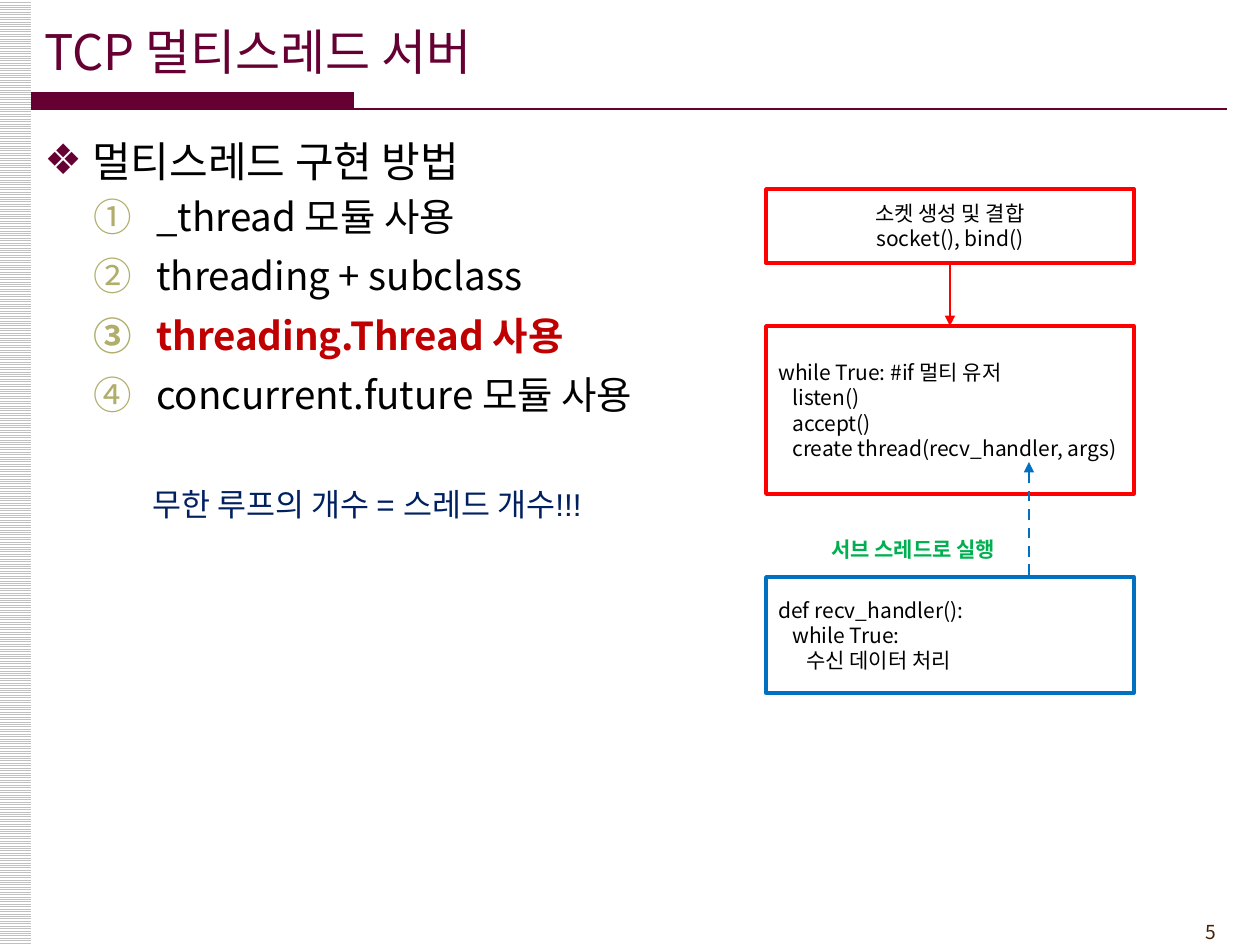
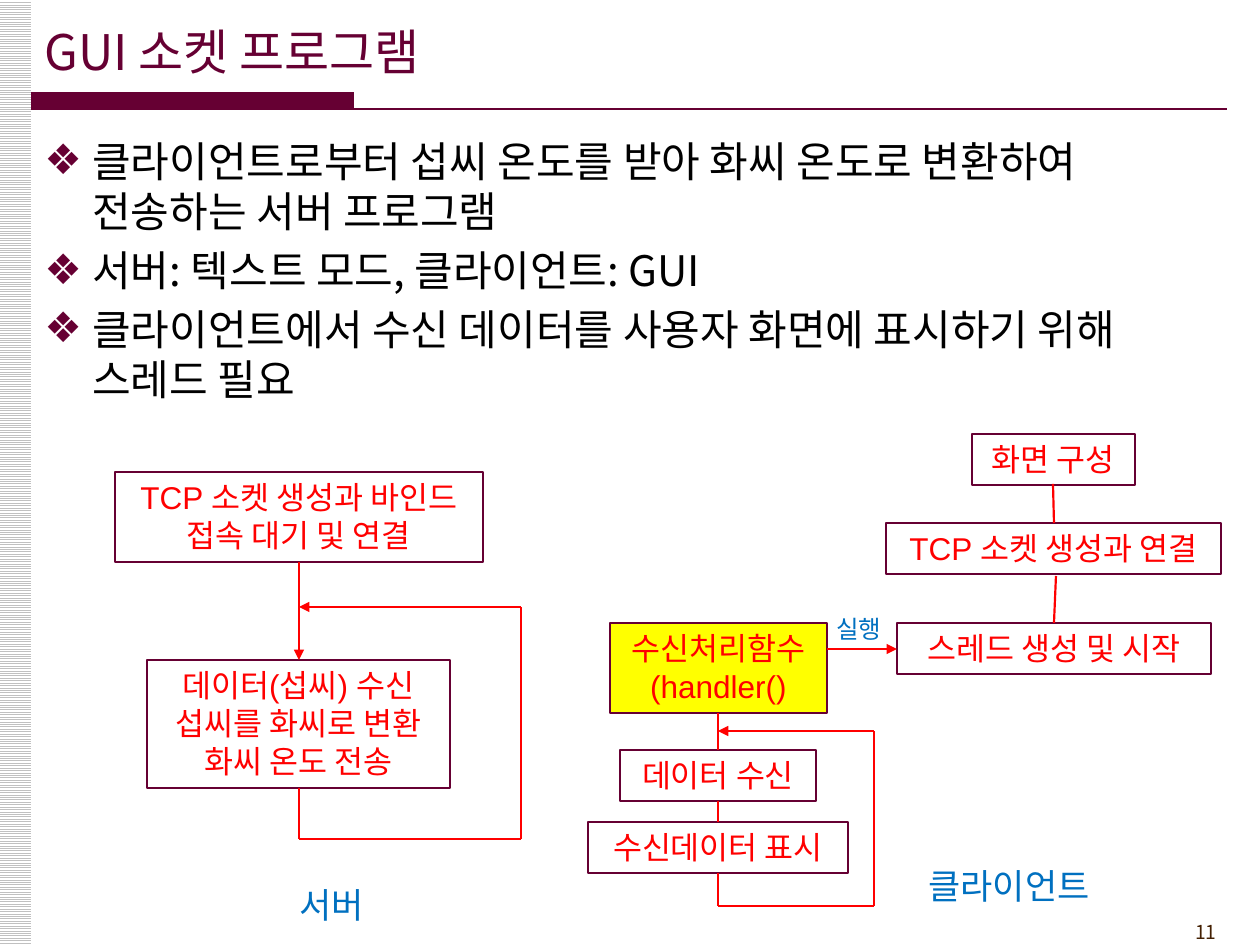
from lxml.etree import SubElement
from pptx import Presentation
from pptx.dml.color import RGBColor
from pptx.enum.dml import MSO_LINE as Dash, MSO_PATTERN as Pattern
from pptx.enum.shapes import MSO_CONNECTOR as Link, MSO_SHAPE as Shape
from pptx.enum.text import MSO_ANCHOR as Anchor, PP_ALIGN as Align
from pptx.oxml.ns import qn
from pptx.util import Emu, Pt

SCALE = 914400 / 126
WINE = RGBColor(0x66, 0x00, 0x33)
OLIVE = RGBColor(0xB1, 0xAE, 0x6B)
BROWN = RGBColor(0x45, 0x21, 0x03)
SILVER = RGBColor(0xC0, 0xC0, 0xC0)
WHITE = RGBColor(0xFF, 0xFF, 0xFF)
BLACK = RGBColor(0x00, 0x00, 0x00)
RED = RGBColor(0xFF, 0x00, 0x00)
CRIMSON = RGBColor(0xC0, 0x00, 0x00)
BLUE = RGBColor(0x00, 0x70, 0xC0)
NAVY = RGBColor(0x00, 0x20, 0x60)
GREEN = RGBColor(0x00, 0xB0, 0x50)
YELLOW = RGBColor(0xFF, 0xFF, 0x00)
NOTO, ARIAL = "Noto Sans CJK KR", "Arial"


def px(size):
    """Turn pixels into EMU."""
    return Emu(round(size * SCALE))


def write(para, text, size, color, font=NOTO, bold=False):
    """Add one run to a paragraph."""
    run = para.add_run()
    run.text = text
    run.font.size = Pt(size)
    run.font.bold = bold
    run.font.name = font
    run.font.color.rgb = color
    SubElement(run._r.get_or_add_rPr(), qn("a:ea"), typeface=NOTO)


def indent(para, left, first=0):
    """Set the left margin and first-line offset of a paragraph."""
    props = para._p.get_or_add_pPr()
    props.set("marL", str(px(left)))
    props.set("indent", str(px(first)))
    return props


def paras(frame, count):
    """Return the given number of paragraphs of a text frame."""
    return [frame.paragraphs[0]] + [frame.add_paragraph() for _ in range(count - 1)]


def label(slide, area, text, size, color, font=ARIAL, bold=False,
          align=Align.LEFT, anchor=Anchor.TOP, pitch=0.8):
    """Add one line of free text."""
    frame = slide.shapes.add_textbox(*map(px, area)).text_frame
    frame.word_wrap = True
    frame.vertical_anchor = anchor
    para = frame.paragraphs[0]
    para.alignment = align
    para.line_spacing = pitch
    write(para, text, size, color, font, bold)


def rect(slide, area):
    """Add a plain rectangle without a shadow."""
    shape = slide.shapes.add_shape(Shape.RECTANGLE, *map(px, area))
    shape.shadow.inherit = False
    shape.fill.background()
    shape.line.fill.background()
    return shape


def box(slide, area, lines, edge=WINE, width=0.75, size=18, color=RED,
        font=ARIAL, fill=None, align=Align.CENTER, anchor=Anchor.TOP, step=0):
    """Add a framed box, each line a step further in when a step is given."""
    shape = rect(slide, area)
    shape.line.color.rgb = edge
    shape.line.width = Pt(width)
    if fill is not None:
        shape.fill.solid()
        shape.fill.fore_color.rgb = fill
    frame = shape.text_frame
    frame.word_wrap = True
    frame.vertical_anchor = anchor
    for para, (depth, text) in zip(paras(frame, len(lines)), lines):
        para.alignment = align
        indent(para, depth * step)
        write(para, text, size, color, font)


def code(slide, area, lines, edge, align=Align.LEFT):
    """Add a thick-framed box of small program text."""
    box(slide, area, lines, edge, 2, 12, BLACK, NOTO, None, align, Anchor.MIDDLE, 14)


def line(slide, start, end, color=RED, width=1.5, arrow=False, dash=False):
    """Add a straight line, with an arrowhead at its end if asked."""
    link = slide.shapes.add_connector(Link.STRAIGHT, *map(px, start + end))
    link.line.color.rgb = color
    link.line.width = Pt(width)
    if dash:
        link.line.dash_style = Dash.DASH
    if arrow:
        SubElement(link.line._get_or_add_ln(), qn("a:tailEnd"), type="triangle")
    SubElement(link._element.spPr, qn("a:effectLst"))


def trace(slide, points, width):
    """Join points by lines, with an arrowhead on the last one."""
    last = len(points) - 2
    for place, (start, end) in enumerate(zip(points, points[1:])):
        line(slide, start, end, width=width, arrow=place == last)


def bullet(para, text, sub=False, color=BLACK, bold=False):
    """Fill a paragraph as a main bullet or a numbered sub-item."""
    size = 22 if sub else 24
    para.space_before = Pt(size * 0.2)
    para.space_after = Pt(3 if sub else 0)
    props = indent(para, *((112, -63) if sub else (48, -48)))
    tint = SubElement(props, qn("a:buClr"))
    SubElement(tint, qn("a:srgbClr"), val=str(OLIVE if sub else WINE))
    if sub:
        SubElement(props, qn("a:buFont"), typeface=NOTO)
        SubElement(props, qn("a:buAutoNum"), type="circleNumDbPlain")
    else:
        SubElement(props, qn("a:buFont"), typeface=ARIAL)
        SubElement(props, qn("a:buChar"), char="❖")
    write(para, text, size, color, bold=bold)


def body(slide, items):
    """Add the main list."""
    frame = slide.shapes.add_textbox(*map(px, (32, 129, 1197, 788))).text_frame
    frame.word_wrap = True
    for para, item in zip(paras(frame, len(items)), items):
        bullet(para, *item)


def base(deck, title, page):
    """Add a slide with side band, title, rule and page number."""
    slide = deck.slides.add_slide(deck.slide_layouts[6])
    band = rect(slide, (-1, 0, 32, 945))
    band.fill.patterned()
    band.fill.pattern = Pattern.LIGHT_HORIZONTAL
    band.fill.fore_color.rgb = SILVER
    band.fill.back_color.rgb = WHITE
    label(slide, (1124, 914, 105, 36), page, 11, BROWN, NOTO, align=Align.RIGHT, pitch=1)
    bar = rect(slide, (31, 92, 323, 18))
    bar.fill.solid()
    bar.fill.fore_color.rgb = WINE
    line(slide, (31, 109), (1227, 109), WINE)
    label(slide, (32, 11, 1042, 80), title, 28, WINE, NOTO, anchor=Anchor.MIDDLE, pitch=1)
    return slide


def threads(deck):
    """Build the slide on the multithreaded server."""
    slide = base(deck, "TCP 멀티스레드 서버", "5")
    body(slide, [
        ("멀티스레드 구현 방법",),
        ("_thread 모듈 사용", True),
        ("threading + subclass", True),
        ("threading.Thread 사용", True, CRIMSON, True),
        ("concurrent.future 모듈 사용", True),
    ])
    code(slide, (766, 189, 368, 74),
         [(0, "소켓 생성 및 결합"), (0, "socket(), bind()")], RED, Align.CENTER)
    code(slide, (766, 326, 368, 168), [
        (0, "while True: #if 멀티 유저"), (1, "listen()"), (1, "accept()"),
        (1, "create thread(recv_handler, args)")], RED)
    code(slide, (766, 577, 368, 116), [
        (0, "def recv_handler():"), (1, "while True:"), (2, "수신 데이터 처리")], BLUE)
    line(slide, (950, 263), (950, 326), width=0.75, arrow=True)
    line(slide, (1029, 575), (1029, 462), BLUE, arrow=True, dash=True)
    label(slide, (819, 535, 262, 40), "서브 스레드로 실행", 12, GREEN, bold=True)
    label(slide, (140, 486, 514, 43), "무한 루프의 개수 = 스레드 개수!!!", 18, NAVY)


def window(deck):
    """Build the slide on the socket program with a window."""
    slide = base(deck, "GUI 소켓 프로그램", "11")
    body(slide, [
        ("클라이언트로부터 섭씨 온도를 받아 화씨 온도로 변환하여 전송하는 서버 프로그램",),
        ("서버: 텍스트 모드, 클라이언트: GUI",),
        ("클라이언트에서 수신 데이터를 사용자 화면에 표시하기 위해 스레드 필요",),
    ])
    for area, lines, fill in [
        ((115, 472, 368, 90), ["TCP 소켓 생성과 바인드", "접속 대기 및 연결"], None),
        ((147, 660, 303, 128),
         ["데이터(섭씨) 수신", "섭씨를 화씨로 변환", "화씨 온도 전송"], None),
        ((886, 523, 335, 51), ["TCP 소켓 생성과 연결"], None),
        ((972, 434, 163, 51), ["화면 구성"], None),
        ((897, 623, 314, 51), ["스레드 생성 및 시작"], None),
        ((610, 623, 217, 90), ["수신처리함수", "(handler()"], YELLOW),
        ((620, 750, 196, 51), ["데이터 수신"], None),
        ((588, 822, 260, 51), ["수신데이터 표시"], None),
    ]:
        box(slide, area, [(0, text) for text in lines], fill=fill)
    line(slide, (299, 562), (299, 660), arrow=True)
    trace(slide, [(299, 788), (299, 839), (521, 839), (521, 607), (299, 607)], 1.5)
    line(slide, (827, 649), (897, 649), width=1.25, arrow=True)
    for start, end in [((718, 713), (718, 750)), ((718, 801), (718, 822)),
                       ((1053, 484), (1054, 523)), ((1056, 576), (1054, 623))]:
        line(slide, start, end, width=1.25)
    trace(slide, [(718, 873), (718, 906), (874, 906), (874, 731), (718, 731)], 1.25)
    label(slide, (824, 614, 74, 36), "실행", 14, BLUE)
    label(slide, (287, 885, 96, 46), "서버", 20, BLUE)
    label(slide, (916, 866, 202, 46), "클라이언트", 20, BLUE)


def main():
    """Build and save the deck."""
    deck = Presentation()
    deck.slide_width, deck.slide_height = px(1260), px(945)
    threads(deck)
    window(deck)
    deck.save("out.pptx")


main()
